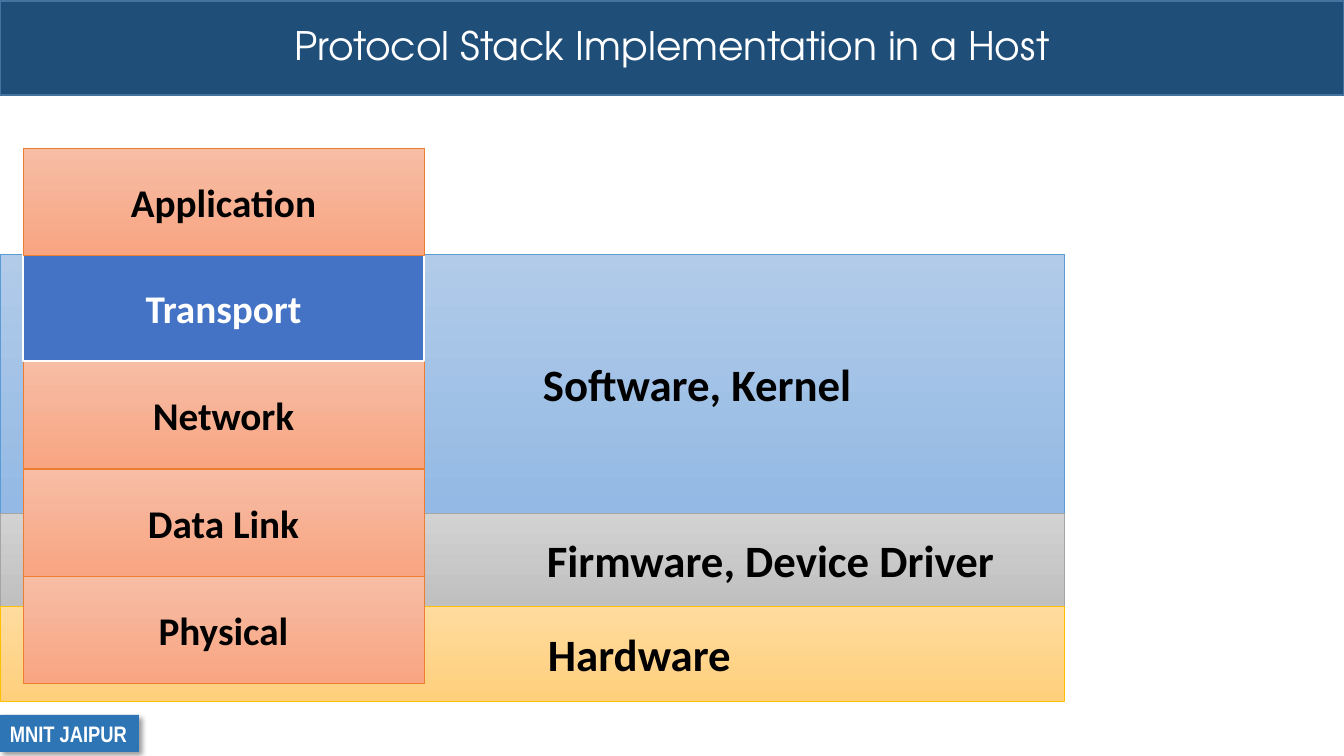
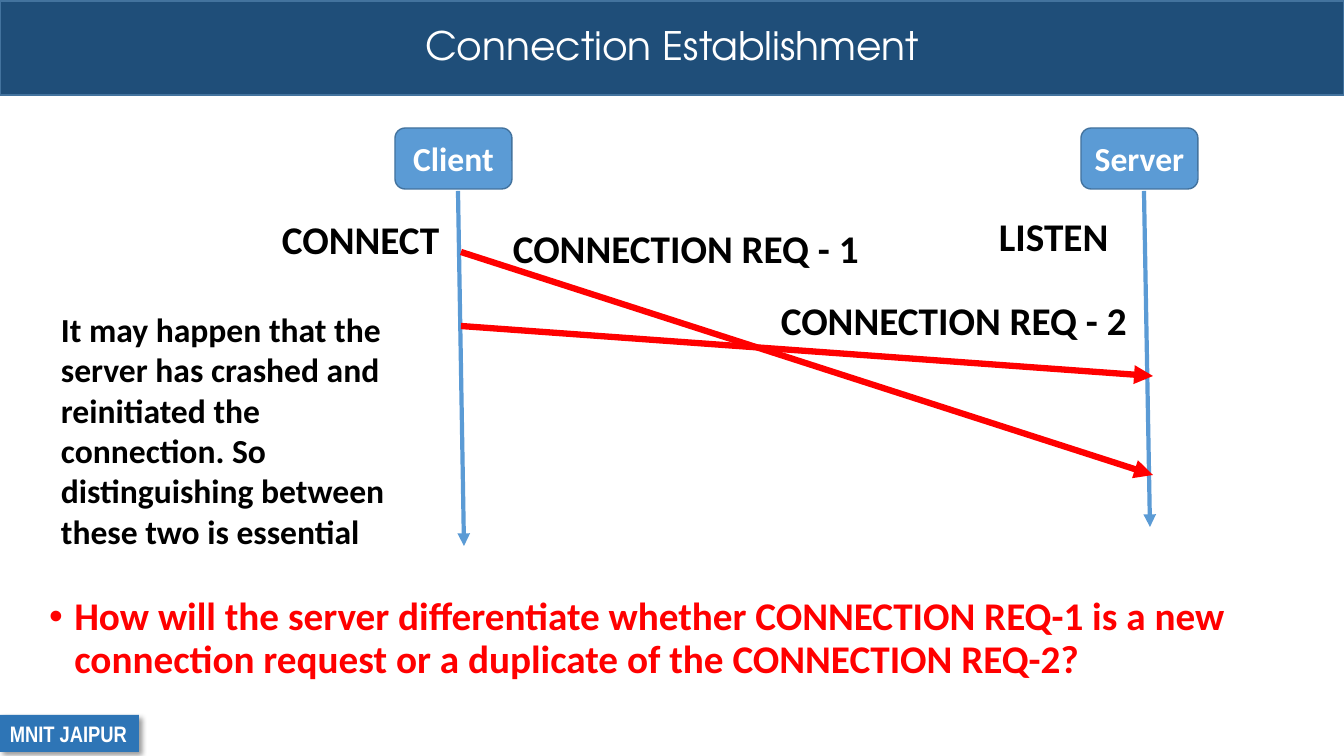
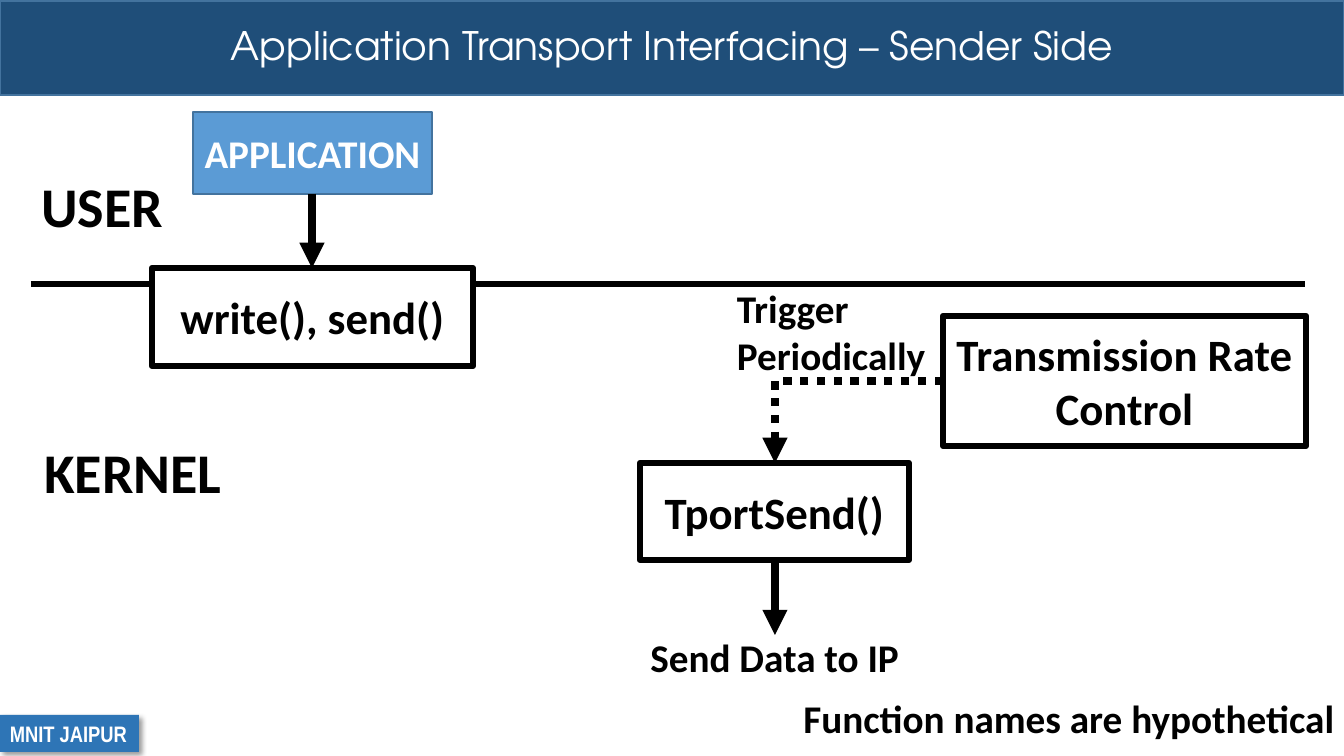
from lxml import etree
from pptx import Presentation
from pptx import util as u
from pptx.dml.color import RGBColor
from pptx.enum import dml, shapes, text
from pptx.oxml.ns import qn

PX = 9071  # EMU per pixel, 100.8 pixels to the inch

BLACK = RGBColor(0x00, 0x00, 0x00)
WHITE = RGBColor(0xFF, 0xFF, 0xFF)
RED = RGBColor(0xFF, 0x00, 0x00)
NAVY = RGBColor(0x1F, 0x4E, 0x79)
NAVY_EDGE = RGBColor(0x43, 0x73, 0x9E)
TAG_BLUE = RGBColor(0x2E, 0x75, 0xB6)
BLUE = RGBColor(0x5B, 0x9B, 0xD5)
ROYAL = RGBColor(0x44, 0x72, 0xC4)
GRAY = RGBColor(0xA5, 0xA5, 0xA5)
GOLD = RGBColor(0xFF, 0xC0, 0x00)
ORANGE = RGBColor(0xED, 0x7D, 0x31)
BLUE_FADE = [RGBColor(0xB1, 0xCB, 0xE9), RGBColor(0x93, 0xB9, 0xE4)]
GRAY_FADE = [RGBColor(0xD2, 0xD2, 0xD2), RGBColor(0xC0, 0xC0, 0xC0)]
GOLD_FADE = [RGBColor(0xFF, 0xDB, 0x9E), RGBColor(0xFF, 0xD0, 0x7C)]
ORANGE_FADE = [RGBColor(0xF7, 0xBD, 0xA5), RGBColor(0xF8, 0xA5, 0x82)]

RECT = shapes.MSO_SHAPE.RECTANGLE
ROUNDED = shapes.MSO_SHAPE.ROUNDED_RECTANGLE
LEFT, CENTER, RIGHT = text.PP_ALIGN.LEFT, text.PP_ALIGN.CENTER, text.PP_ALIGN.RIGHT


def add_box(page, place, words, size=28, color=BLACK, fill=None, edge=None, weight=1,
            kind=RECT, align=CENTER, wrap=True):
    """Add a filled shape (a list of colours fades), or a text box when there is no fill."""
    place = [n * PX for n in place]
    if fill is None:
        box = page.shapes.add_textbox(*place)
        box.text_frame.auto_size = text.MSO_AUTO_SIZE.SHAPE_TO_FIT_TEXT
    else:
        box = page.shapes.add_shape(kind, *place)
        box.shadow.inherit = False
        box.text_frame.vertical_anchor = text.MSO_ANCHOR.MIDDLE
        if isinstance(fill, list):
            box.fill.gradient()
            box.fill.gradient_angle = 270
            for stop, shade in zip(box.fill.gradient_stops, fill):
                stop.color.rgb = shade
        else:
            box.fill.solid()
            box.fill.fore_color.rgb = fill
        if edge is None:
            box.line.fill.background()
        else:
            box.line.color.rgb = edge
            box.line.width = u.Pt(weight)
    box.text_frame.word_wrap = wrap
    para = box.text_frame.paragraphs[0]
    para.text = words
    para.alignment = align
    for span in para.runs:
        span.font.name, span.font.size, span.font.bold = "Calibri", u.Pt(size), True
        span.font.color.rgb = color
    return box


def add_line(page, ends, color, weight, arrow=True, dash=None, bent=False):
    """Add a straight or once-bent line between two points."""
    route = shapes.MSO_CONNECTOR.ELBOW if bent else shapes.MSO_CONNECTOR.STRAIGHT
    line = page.shapes.add_connector(route, *[n * PX for n in ends])
    line.line.color.rgb = color
    line.line.width = u.Pt(weight)
    if dash is not None:
        line.line.dash_style = dash
    properties = line.element.spPr
    if bent:
        properties.find(qn("a:prstGeom")).set("prst", "bentConnector2")
    if arrow:
        etree.SubElement(properties.find(qn("a:ln")), qn("a:tailEnd"), type="triangle")
    etree.SubElement(properties, qn("a:effectLst"))


deck = Presentation()
deck.slide_width, deck.slide_height = 1344 * PX, 756 * PX
title_only, title_and_body = deck.slide_layouts[5], deck.slide_layouts[1]

# Pages and their titles
pages = []
for layout, words in [
    (title_only, "Protocol Stack Implementation in a Host"),
    (title_and_body, "Connection Establishment"),
    (title_only, "Application Transport Interfacing – Sender Side"),
]:
    page = deck.slides.add_slide(layout)
    title = page.shapes.title
    title.left, title.top, title.width, title.height = 0, PX, 1344 * PX, 94 * PX
    title.text_frame.text = words
    title.text_frame.vertical_anchor = text.MSO_ANCHOR.MIDDLE
    title.text_frame.auto_size = text.MSO_AUTO_SIZE.NONE
    para = title.text_frame.paragraphs[0]
    para.alignment, para.line_spacing = CENTER, 0.9
    span = para.runs[0]
    span.font.name, span.font.size = "TeX Gyre Adventor", u.Pt(28)
    span.font.color.rgb = WHITE
    pages.append(page)
stack_page, connection_page, sender_page = pages

# Title band and institute tag, moved to the slide master
band = add_box(stack_page, (0, 1, 1344, 94), "", fill=NAVY, edge=NAVY_EDGE)
tag = add_box(stack_page, (0, 715, 139, 37), "MNIT JAIPUR", 16, WHITE, TAG_BLUE,
              align=LEFT, wrap=False)
tag.text_frame.auto_size = text.MSO_AUTO_SIZE.SHAPE_TO_FIT_TEXT
tag.text_frame.paragraphs[0].runs[0].font.name = "Arial Narrow"
shadow = etree.SubElement(tag.element.spPr.find(qn("a:effectLst")), qn("a:outerShdw"),
                          blurRad="50800", dist="38100", dir="2700000", algn="tl")
shade = etree.SubElement(shadow, qn("a:srgbClr"), val="000000")
etree.SubElement(shade, qn("a:alpha"), val="40000")
for shared in (band, tag):
    deck.slide_master.shapes.element.append(shared.element)

# Protocol stack: where each layer runs
for words, top, height, indent, fill, edge in [
    ("Software, Kernel", 254, 259, 543, BLUE_FADE, BLUE),
    ("Firmware, Device Driver", 513, 93, 547, GRAY_FADE, GRAY),
    ("Hardware", 606, 95, 548, GOLD_FADE, GOLD),
]:
    zone = add_box(stack_page, (0, top, 1064, height), words, 32, BLACK, fill, edge, 0.5,
                   align=LEFT)
    zone.text_frame.margin_left = indent * PX

# Protocol stack: layers from the bottom up
for words, top in [("Physical", 576), ("Data Link", 469), ("Network", 361),
                   ("Transport", 254), ("Application", 148)]:
    if words == "Transport":
        look = (WHITE, ROYAL, WHITE, 1.5)
    else:
        look = (BLACK, ORANGE_FADE, ORANGE, 0.5)
    add_box(stack_page, (23, top, 401, 107), words, 28, *look)

# Connection: question in the body placeholder
body = connection_page.placeholders[1]
body.left, body.top, body.width, body.height = 39 * PX, 592 * PX, 1273 * PX, 124 * PX
body.text_frame.text = ("How will the server differentiate whether CONNECTION REQ-1 is a new "
                        "connection request or a duplicate of the CONNECTION REQ-2?")
body.text_frame.auto_size = text.MSO_AUTO_SIZE.NONE
para = body.text_frame.paragraphs[0]
para.line_spacing, para.space_before = 0.9, u.Pt(0)
bullet = para._p.get_or_add_pPr()
bullet.set("marL", "228600")
bullet.set("indent", "-228600")
etree.SubElement(bullet, qn("a:buFont"), typeface="Arial")
etree.SubElement(bullet, qn("a:buChar"), char="•")
span = para.runs[0]
span.font.name, span.font.size, span.font.bold = "Calibri", u.Pt(28), True
span.font.color.rgb = RED

# Connection: hosts with their time lines
for words, left, bottom in [("Client", 395, 546), ("Server", 1081, 527)]:
    add_line(connection_page, (left + 63, 191, left + 69, bottom), BLUE, 3)
    add_box(connection_page, (left, 128, 117, 61), words, 24, WHITE, BLUE, NAVY_EDGE,
            kind=ROUNDED)

# Connection: requests and labels
for start, end in [(252, 475), (326, 376)]:
    add_line(connection_page, (461, start, 1153, end), RED, 4.5)
for words, left, top, width in [
    ("LISTEN", 989, 207, 131),
    ("CONNECT", 272, 210, 179),
    ("CONNECTION REQ - 1", 503, 219, 371),
    ("CONNECTION REQ - 2", 771, 291, 371),
]:
    add_box(connection_page, (left, top, width, 57), words, align=LEFT, wrap=False)
add_box(connection_page, (51, 304, 379, 254),
        "It may happen that the server has crashed and reinitiated the connection. "
        "So distinguishing between these two is essential", 24, align=LEFT)

# Sender: border between user and kernel
add_line(sender_page, (31, 284, 1305, 284), BLACK, 4.5, arrow=False)

# Sender: functions
add_box(sender_page, (193, 112, 239, 82), "APPLICATION", 28, WHITE, BLUE, NAVY_EDGE)
for words, *place in [
    ("write(), send()", 152, 268, 321, 98),
    ("TportSend()", 640, 463, 269, 97),
    ("Transmission Rate Control", 943, 316, 363, 130),
]:
    add_box(sender_page, place, words, 32, BLACK, WHITE, BLACK, 4.5)

# Sender: flow
add_line(sender_page, (312, 194, 312, 268), BLACK, 6)
add_line(sender_page, (775, 560, 775, 635), BLACK, 6)
add_line(sender_page, (943, 381, 775, 463), BLACK, 6,
         dash=dml.MSO_LINE.ROUND_DOT, bent=True)

# Sender: labels
for words, size, align, *place in [
    ("Send Data to IP", 28, CENTER, 593, 628, 363, 57),
    ("USER", 40, CENTER, 27, 167, 150, 78),
    ("KERNEL", 40, CENTER, 27, 433, 212, 78),
    ("Trigger Periodically", 28, LEFT, 727, 279, 275, 105),
    ("Function names are hypothetical", 28, RIGHT, 593, 689, 751, 57),
]:
    add_box(sender_page, place, words, size, align=align)

deck.save("out.pptx")
